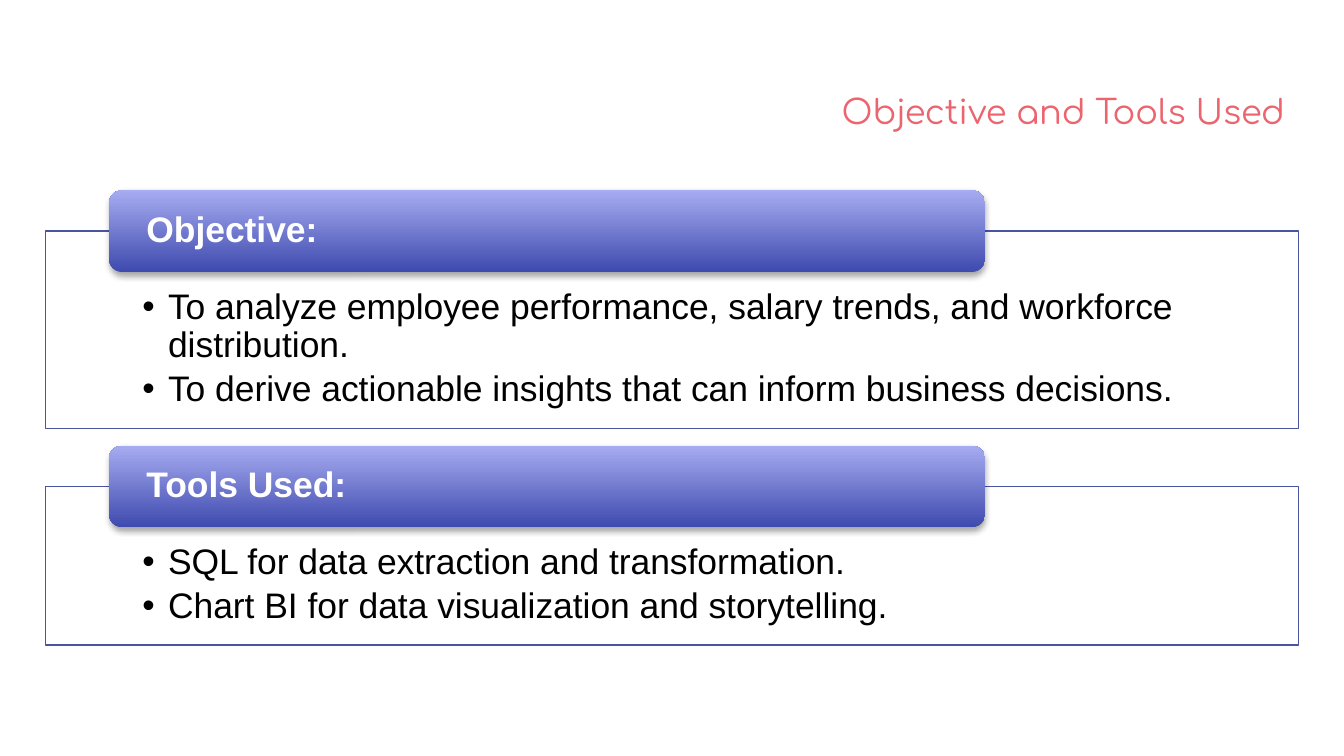
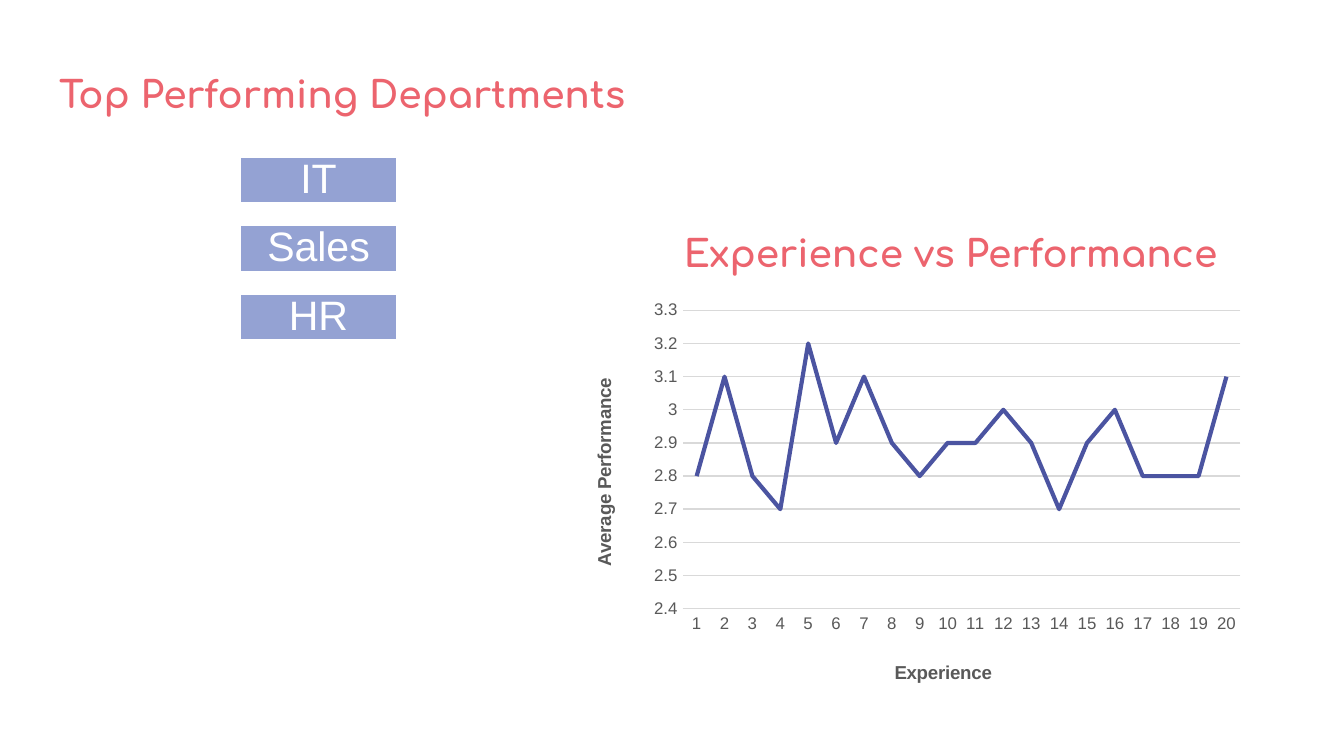
from dataclasses import dataclass

from pptx import Presentation
from pptx.chart.data import CategoryChartData
from pptx.dml.color import RGBColor
from pptx.enum.chart import XL_CHART_TYPE, XL_MARKER_STYLE, XL_TICK_MARK
from pptx.enum.shapes import MSO_SHAPE
from pptx.enum.text import MSO_ANCHOR, MSO_AUTO_SIZE, PP_ALIGN
from pptx.oxml import parse_xml
from pptx.oxml.ns import nsdecls, qn
from pptx.util import Inches, Pt


@dataclass(frozen=True)
class Theme:
    coral: str = "EC646E"
    indigo: str = "4B54A1"
    tab_dark: str = "3E4AAE"
    tab_light: str = "A7ACF1"
    periwinkle: str = "94A2D3"
    white: str = "FFFFFF"
    black: str = "000000"
    grey: str = "595959"
    grid: str = "D9D9D9"
    heading_font: str = "Comfortaa"
    body_font: str = "Arial"
    title_size: float = 18
    heading_size: float = 20
    body_size: float = 19
    department_size: float = 22
    axis_title_size: float = 10
    tick_size: float = 9


THEME = Theme()

# Content
OBJECTIVE_TITLE = "Objective and Tools Used"
CARDS = [  # heading, panel height, bullets
    ("Objective:", 1.47, [
        "To analyze employee performance, salary trends, and workforce distribution.",
        "To derive actionable insights that can inform business decisions.",
    ]),
    ("Tools Used:", 1.18, [
        "SQL for data extraction and transformation.",
        "Chart BI for data visualization and storytelling.",
    ]),
]
DEPARTMENTS_TITLE = "Top Performing Departments"
DEPARTMENTS = ["IT", "Sales", "HR"]
CHART_TITLE = "Experience vs Performance"
EXPERIENCE_TITLE = "Experience"
PERFORMANCE_TITLE = "Average Performance"
PERFORMANCE = [2.8, 3.1, 2.8, 2.7, 3.2, 2.9, 3.1, 2.9, 2.8, 2.9,
               2.9, 3, 2.9, 2.7, 2.9, 3, 2.8, 2.8, 2.8, 3.1]

# Shared geometry
SLIDE_WIDTH = Inches(10)
SLIDE_HEIGHT = SLIDE_WIDTH * 9 // 16
MARGIN, CONTENT_WIDTH, TITLE_HEIGHT = 0.34, 9.32, 0.63


def rgb(value):
    return RGBColor.from_string(value)


def inches(*lengths):
    return [Inches(length) for length in lengths]


def style_font(font, size, color, face=THEME.body_font, bold=False):
    font.size, font.name, font.bold = Pt(size), face, bold
    font.color.rgb = rgb(color)


def add_bullet(paragraph, color, indent=0.19):
    properties = paragraph._p.get_or_add_pPr()
    properties.set("marL", str(Inches(indent)))
    properties.set("indent", str(-Inches(indent)))
    for part in (f'<a:buClr {nsdecls("a")}><a:srgbClr val="{color}"/></a:buClr>',
                 f'<a:buFont {nsdecls("a")} typeface="{THEME.body_font}"/>',
                 f'<a:buChar {nsdecls("a")} char="•"/>'):
        properties.append(parse_xml(part))


def write(shape, lines, *, size, color, face=THEME.body_font, bold=False,
          align=PP_ALIGN.LEFT, anchor=MSO_ANCHOR.MIDDLE, spacing=0.9,
          after=0, insets=(0.1, 0.1, 0.1, 0.1), bullets=False):
    """Fill a shape with one paragraph per line."""
    frame = shape.text_frame
    frame.word_wrap, frame.auto_size = True, MSO_AUTO_SIZE.NONE
    frame.vertical_anchor = anchor
    (frame.margin_left, frame.margin_top,
     frame.margin_right, frame.margin_bottom) = inches(*insets)
    for index, line in enumerate(lines):
        paragraph = frame.add_paragraph() if index else frame.paragraphs[0]
        paragraph.alignment, paragraph.line_spacing = align, spacing
        paragraph.space_before, paragraph.space_after = Pt(0), Pt(after)
        if bullets:
            add_bullet(paragraph, color)
        run = paragraph.add_run()
        run.text = line
        style_font(run.font, size, color, face, bold)


def write_heading(shape, heading, **formats):
    defaults = dict(size=THEME.heading_size, color=THEME.coral,
                    face=THEME.heading_font, bold=True, spacing=1.15)
    write(shape, [heading], **(defaults | formats))


def add_titled_slide(deck, title, top, **formats):
    slide = deck.slides.add_slide(deck.slide_layouts[5])
    holder = slide.shapes.title
    holder.left, holder.top, holder.width, holder.height = inches(
        MARGIN, top, CONTENT_WIDTH, TITLE_HEIGHT)
    write_heading(holder, title, **formats)
    return slide


def add_box(slide, kind, bounds, fill=None, line=None, line_width=0.75):
    box = slide.shapes.add_shape(kind, *inches(*bounds))
    box.shadow.inherit = False
    if fill:
        box.fill.solid()
        box.fill.fore_color.rgb = rgb(fill)
    if line:
        box.line.color.rgb = rgb(line)
        box.line.width = Pt(line_width)
    else:
        box.line.fill.background()
    return box


def add_tab(slide, heading, panel_top):
    """Gradient tab centred on the top edge of its panel."""
    height = 0.61
    tab = add_box(slide, MSO_SHAPE.ROUNDED_RECTANGLE,
                  (0.81, panel_top - height / 2, 6.52, height))
    tab.fill.gradient()
    tab.fill.gradient_angle = 90
    for stop, color in zip(tab.fill.gradient_stops,
                           (THEME.tab_dark, THEME.tab_light)):
        stop.color.rgb = rgb(color)
    effects = tab._element.spPr.find(qn("a:effectLst"))
    effects.append(parse_xml(
        f'<a:outerShdw {nsdecls("a")} blurRad="{Pt(3.1)}" dist="{Pt(1.8)}" '
        'dir="5400000" rotWithShape="0">'
        f'<a:srgbClr val="{THEME.black}"><a:alpha val="35000"/></a:srgbClr>'
        '</a:outerShdw>'))
    write(tab, [heading], size=THEME.body_size, color=THEME.white, bold=True,
          insets=(0.25, 0, 0.25, 0))


def set_layout(parent, index, x, y, size=None):
    """Place a chart part by fractions of the chart area."""
    for old in parent.findall(qn("c:layout")):
        parent.remove(old)
    parts = [("xMode", "edge"), ("yMode", "edge"), ("x", x), ("y", y)]
    if size:
        parts = [("layoutTarget", "inner"), *parts, ("w", size[0]), ("h", size[1])]
    body = "".join(f'<c:{tag} val="{value}"/>' for tag, value in parts)
    parent.insert(index, parse_xml(
        f'<c:layout {nsdecls("c")}><c:manualLayout>{body}</c:manualLayout></c:layout>'))


def style_axis(axis, title, x, y):
    axis.major_tick_mark = axis.minor_tick_mark = XL_TICK_MARK.NONE
    style_font(axis.tick_labels.font, THEME.tick_size, THEME.grey)
    paragraph = axis.axis_title.text_frame.paragraphs[0]
    run = paragraph.add_run()
    run.text = title
    style_font(run.font, THEME.axis_title_size, THEME.grey, bold=True)
    set_layout(axis.axis_title._element, 1, x, y)


def add_performance_chart(slide):
    data = CategoryChartData()
    data.categories = [str(year) for year in range(1, len(PERFORMANCE) + 1)]
    data.add_series("Series 1", PERFORMANCE)
    chart = slide.shapes.add_chart(
        XL_CHART_TYPE.LINE, *inches(4.33, 2.16, 5, 3), data).chart
    chart.has_legend = chart.has_title = False
    style_font(chart.font, THEME.axis_title_size, THEME.black)

    years, scores = chart.category_axis, chart.value_axis
    style_axis(years, EXPERIENCE_TITLE, 0.46, 0.91)
    style_axis(scores, PERFORMANCE_TITLE, 0.01, 0.21)
    scores.minimum_scale, scores.maximum_scale, scores.major_unit = 2.4, 3.3, 0.1
    scores.has_major_gridlines = True
    scores.format.line.fill.background()
    for rule in (years.format.line, scores.major_gridlines.format.line):
        rule.color.rgb, rule.width = rgb(THEME.grid), Pt(0.75)

    plot = chart.plots[0]
    plot.vary_by_categories = False
    trend = plot.series[0]
    trend.smooth = False
    trend.marker.style = XL_MARKER_STYLE.NONE
    trend.format.line.color.rgb = rgb(THEME.indigo)
    trend.format.line.width = Pt(2.25)
    plot_area = chart._chartSpace.find(".//" + qn("c:plotArea"))
    set_layout(plot_area, 0, 0.15, 0.05, size=(0.83, 0.74))


def build_objective_slide(deck):
    slide = add_titled_slide(deck, OBJECTIVE_TITLE, 0.49, bold=False,
                             size=THEME.title_size, align=PP_ALIGN.RIGHT)
    top, gap = 1.72, 0.43
    for heading, height, bullets in CARDS:
        panel = add_box(slide, MSO_SHAPE.RECTANGLE,
                        (MARGIN, top, CONTENT_WIDTH, height),
                        THEME.white, THEME.indigo)
        write(panel, bullets, size=THEME.body_size, color=THEME.black,
              anchor=MSO_ANCHOR.TOP, after=3, bullets=True,
              insets=(0.72, 0.43, 0.72, 0.15))
        add_tab(slide, heading, top)
        top += height + gap


def build_performance_slide(deck):
    slide = add_titled_slide(deck, DEPARTMENTS_TITLE, 0.53, spacing=1.0,
                             anchor=MSO_ANCHOR.TOP, insets=(0.1, 0, 0.1, 0.1))
    # Department blocks
    for row, department in enumerate(DEPARTMENTS):
        block = add_box(slide, MSO_SHAPE.RECTANGLE,
                        (1.78, 1.16 + row * 0.51, 1.18, 0.36),
                        THEME.periwinkle, THEME.white, 2)
        write(block, [department], size=THEME.department_size,
              color=THEME.white, align=PP_ALIGN.CENTER, insets=(0.02,) * 4)
    # Chart and its heading
    add_performance_chart(slide)
    heading = slide.shapes.add_textbox(*inches(3.97, 1.54, 5.19, TITLE_HEIGHT))
    write_heading(heading, CHART_TITLE, align=PP_ALIGN.RIGHT)


def main():
    deck = Presentation()
    deck.slide_width, deck.slide_height = SLIDE_WIDTH, SLIDE_HEIGHT
    build_objective_slide(deck)
    build_performance_slide(deck)
    deck.save("out.pptx")


if __name__ == "__main__":
    main()
